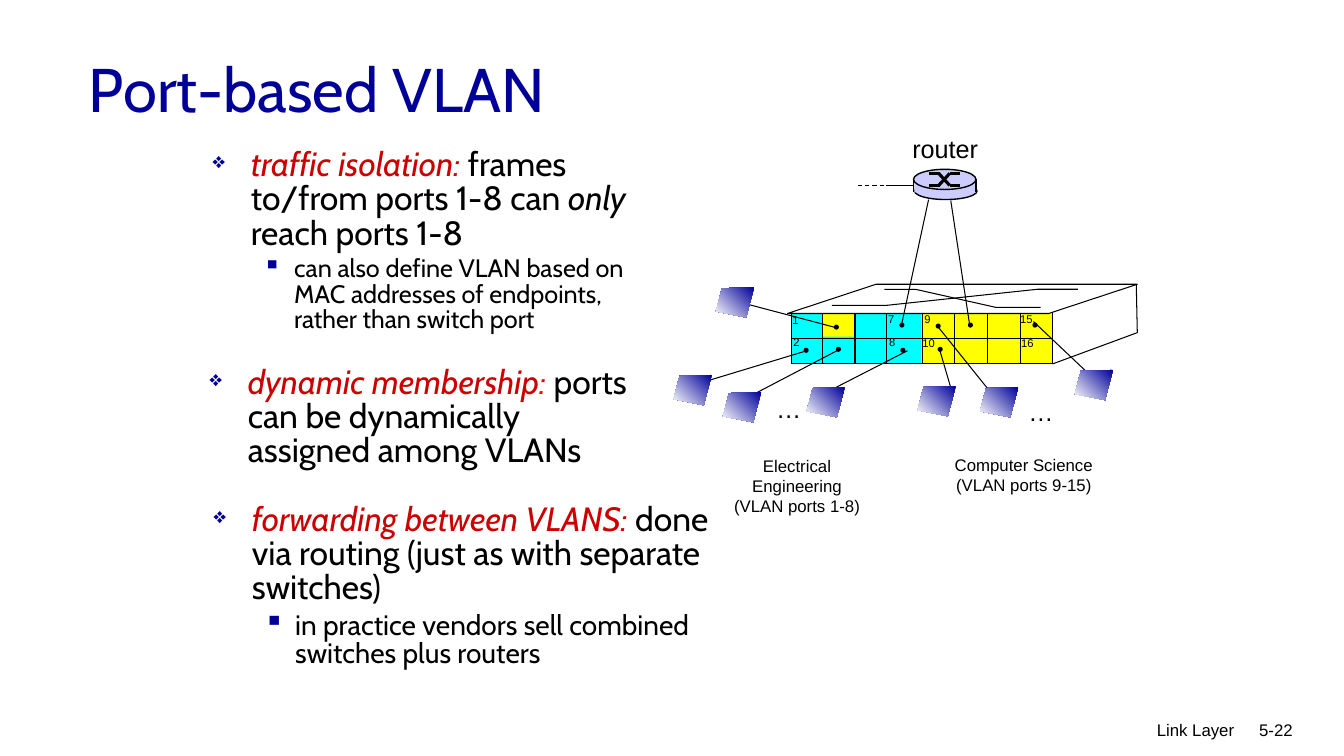
"""Build the slide on port-based VLANs with its switch diagram."""
from dataclasses import dataclass
from typing import NamedTuple

from lxml import etree
from pptx import Presentation
from pptx.dml.color import RGBColor
from pptx.enum.dml import MSO_LINE
from pptx.enum.shapes import MSO_CONNECTOR, MSO_SHAPE
from pptx.enum.text import MSO_ANCHOR, MSO_AUTO_SIZE, PP_ALIGN
from pptx.oxml.ns import qn
from pptx.util import Pt

PX = 9144
STRAIGHT = MSO_CONNECTOR.STRAIGHT
DASH = MSO_LINE.DASH
RECT, ELLIPSE, SLANTED = MSO_SHAPE.RECTANGLE, MSO_SHAPE.OVAL, MSO_SHAPE.PARALLELOGRAM
LEFT, CENTER, RIGHT = PP_ALIGN.LEFT, PP_ALIGN.CENTER, PP_ALIGN.RIGHT
NAVY, RED, BRIGHT_RED, BLACK, WHITE = "000099", "CC0000", "FF0000", "000000", "FFFFFF"
CYAN, YELLOW, LILAC = "00FFFF", "FFFF00", "CCCCFF"


class Box(NamedTuple):
    """A place on the slide in px."""
    left: int
    top: int
    width: int
    height: int


class Segment(NamedTuple):
    """A straight line from one point to another in px."""
    x1: int
    y1: int
    x2: int
    y2: int


class Phrase(NamedTuple):
    """A run of text with its own colour and slant."""
    words: str
    color: str = BLACK
    italic: bool = False


@dataclass
class Label:
    """A short Arial text."""
    text: str
    box: Box
    size: int
    align: PP_ALIGN = LEFT


@dataclass
class Bullet:
    """One bulleted paragraph."""
    phrases: list[Phrase]
    size: int = 24
    sub: bool = False


@dataclass
class Solid:
    """A preset shape with optional fill and outline."""
    preset: MSO_SHAPE
    box: Box
    fill: str | None = None
    outline: float = 0


def rgb(color: str) -> RGBColor:
    """Turn a hex string into a colour."""
    return RGBColor.from_string(color)


def emu(lengths: tuple) -> list[int]:
    """Scale px to EMU."""
    return [length * PX for length in lengths]


def style_outline(line, width: float) -> None:
    """Give a line its black colour and width, or hide it."""
    if width:
        line.color.rgb = rgb(BLACK)
        line.width = Pt(width)
    else:
        line.fill.background()


def draw_solid(shapes, solid: Solid):
    """Draw a preset shape."""
    shape = shapes.add_shape(solid.preset, *emu(solid.box))
    shape.shadow.inherit = False
    if solid.fill:
        shape.fill.solid()
        shape.fill.fore_color.rgb = rgb(solid.fill)
    else:
        shape.fill.background()
    style_outline(shape.line, solid.outline)
    return shape


def draw_segment(shapes, segment: Segment, width: float = 0.75):
    """Draw a straight line."""
    connector = shapes.add_connector(STRAIGHT, *emu(segment))
    etree.SubElement(connector._element.spPr, qn("a:effectLst"))
    style_outline(connector.line, width)
    return connector


def draw_outline(shapes, points: list, width: float = 0.75, close: bool = False):
    """Draw a freeform through the points."""
    builder = shapes.build_freeform(*points[0], scale=PX)
    builder.add_line_segments(points[1:], close=close)
    shape = builder.convert_to_shape()
    shape.shadow.inherit = False
    shape.fill.background()
    style_outline(shape.line, width)
    return shape


def draw_screen(shapes, left: int, top: int) -> None:
    """Draw one host screen with its gradient."""
    corners = [(38, 0), (6, 1), (0, 24), (30, 30)]
    screen = draw_outline(shapes, [(left + x, top + y) for x, y in corners], 0, True)
    screen.fill.gradient()
    screen.fill.gradient_angle = 225
    for stop, color in zip(screen.fill.gradient_stops, (NAVY, WHITE)):
        stop.color.rgb = rgb(color)


def draw_dot(shapes, left: int, top: int) -> None:
    """Draw the dot where a cable enters a port."""
    draw_solid(shapes, Solid(ELLIPSE, Box(left, top, 5, 5), BLACK))


def style_font(font, size: int, name: str, color: str) -> None:
    """Set size, face and colour of a font."""
    font.size, font.name = Pt(size), name
    font.color.rgb = rgb(color)


def draw_label(shapes, label: Label) -> None:
    """Write a label that does not wrap."""
    frame = shapes.add_textbox(*emu(label.box)).text_frame
    frame.word_wrap = False
    frame.text = label.text
    for paragraph in frame.paragraphs:
        paragraph.alignment = label.align
        for run in paragraph.runs:
            style_font(run.font, label.size, "Arial", BLACK)


def draw_bullets(shapes, box: Box, bullets: list[Bullet]) -> None:
    """Write a box of bulleted paragraphs."""
    frame = shapes.add_textbox(*emu(box)).text_frame
    frame.word_wrap = True
    for index, bullet in enumerate(bullets):
        paragraph = frame.add_paragraph() if index else frame.paragraphs[0]
        margin, hang, mark = (81, 31, "▪") if bullet.sub else (38, 38, "❖")
        properties = paragraph._p.get_or_add_pPr()
        properties.set("marL", str(margin * PX))
        properties.set("indent", str(-hang * PX))
        color = etree.SubElement(properties, qn("a:buClr"))
        etree.SubElement(color, qn("a:srgbClr"), val=NAVY)
        if not bullet.sub:
            etree.SubElement(properties, qn("a:buSzPct"), val="65000")
        etree.SubElement(properties, qn("a:buChar"), char=mark)
        paragraph.line_spacing = 0.85
        if index:
            paragraph.space_before = Pt(bullet.size * 0.2)
        for phrase in bullet.phrases:
            run = paragraph.add_run()
            run.text = phrase.words
            style_font(run.font, bullet.size, "Cabin", phrase.color)
            run.font.italic = phrase.italic


def draw_text(slide) -> None:
    """Write the title, the bullets and the footer."""
    title = slide.shapes.title
    title.left, title.top, title.width, title.height = emu(Box(78, 25, 1133, 125))
    title.text_frame.text = "Port-based VLAN"
    title.text_frame.auto_size = MSO_AUTO_SIZE.NONE
    title.text_frame.vertical_anchor = MSO_ANCHOR.MIDDLE
    heading = title.text_frame.paragraphs[0]
    heading.alignment = LEFT
    style_font(heading.runs[0].font, 44, "Cabin", NAVY)
    draw_bullets(slide.shapes, Box(201, 143, 465, 193), [
        Bullet([Phrase("traffic isolation: ", RED, True),
                Phrase("frames to/from ports 1-8 can "),
                Phrase("only", italic=True), Phrase(" reach ports 1-8")]),
        Bullet([Phrase("can also define VLAN based on MAC addresses of endpoints, "
                       "rather than switch port")], 18, True)])
    draw_bullets(slide.shapes, Box(198, 359, 444, 176), [
        Bullet([Phrase("dynamic membership", RED, True), Phrase(":", BRIGHT_RED, True),
                Phrase(" ports can be dynamically assigned among VLANs")])])
    draw_bullets(slide.shapes, Box(202, 495, 547, 176), [
        Bullet([Phrase("forwarding between VLANS: ", RED, True),
                Phrase("done via routing (just as with separate switches)")]),
        Bullet([Phrase("in practice vendors sell combined switches plus routers")], 20, True)])
    for label in (Label("Link Layer", Box(812, 709, 422, 50), 12, RIGHT),
                  Label("5-22", Box(1193, 709, 99, 50), 12, RIGHT)):
        draw_label(slide.shapes, label)


def draw_switch(shapes) -> None:
    """Draw the switch with its numbered ports."""
    for box, color in ((Box(785, 311, 129, 50), CYAN), (Box(914, 311, 130, 50), YELLOW),
                       (Box(816, 311, 31, 23), YELLOW)):
        draw_solid(shapes, Solid(RECT, box, color))
    port_frame = draw_solid(shapes, Solid(RECT, Box(785, 310, 259, 51), outline=0.75))
    for segment, start, end in ((Segment(785, 334, 1044, 334), 1, 3),
                                (Segment(914, 310, 914, 361), 0, 2)):
        divider = draw_segment(shapes, segment)
        divider.begin_connect(port_frame, start)
        divider.end_connect(port_frame, end)
    for x in (816, 848, 879, 947, 979, 1012):
        draw_segment(shapes, Segment(x, 310, x, 361))
    top_face = draw_solid(shapes, Solid(SLANTED, Box(781, 282, 347, 29), WHITE, 0.75))
    top_face.adjustments[0] = 3.03
    for points in ([(1044, 361), (1128, 330), (1127, 282)],
                   [(825, 303), (879, 303), (1029, 287), (1069, 287)],
                   [(877, 287), (908, 287), (988, 305), (1032, 305)]):
        draw_outline(shapes, points)
    for number, left, top in (("1", 776, 306), ("2", 777, 328), ("7", 871, 305),
                              ("8", 872, 328), ("9", 907, 305), ("10", 905, 329),
                              ("15", 1002, 305), ("16", 1003, 329)):
        width = 19 + 7 * len(number)
        draw_label(shapes, Label(number, Box(left, top, width, 23), 8))


def draw_hosts(shapes) -> None:
    """Draw the hosts, their cables and the names of the two VLANs."""
    for cable in (Segment(800, 348, 701, 378), Segment(832, 347, 744, 393),
                  Segment(900, 348, 822, 388), Segment(932, 347, 944, 388),
                  Segment(931, 325, 984, 391), Segment(1025, 319, 1081, 372),
                  Segment(829, 325, 742, 302)):
        draw_segment(shapes, cable)
    for left, top in ((797, 345), (829, 344), (893, 345), (930, 344), (928, 321),
                      (1024, 320), (827, 322)):
        draw_dot(shapes, left, top)
    for left, top in ((668, 372), (717, 389), (800, 384), (910, 383), (972, 384),
                      (1066, 367), (710, 285)):
        draw_screen(shapes, left, top)
    for label in (Label("…", Box(760, 385, 45, 40), 18), Label("…", Box(1010, 388, 45, 40), 18),
                  Label("Electrical\vEngineering\n(VLAN ports 1-8)",
                        Box(700, 447, 181, 50), 12, CENTER),
                  Label("Computer Science\n(VLAN ports 9-15)",
                        Box(937, 446, 157, 50), 12, CENTER)):
        draw_label(shapes, label)


def draw_router(shapes) -> None:
    """Draw the router with its links."""
    draw_label(shapes, Label("router", Box(895, 127, 86, 40), 18))
    for solid in (Solid(ELLIPSE, Box(907, 181, 62, 17), LILAC, 1),
                  Solid(RECT, Box(907, 180, 61, 11), LILAC),
                  Solid(ELLIPSE, Box(906, 168, 62, 20), LILAC, 1)):
        draw_solid(shapes, solid)
    for x in (906, 968):
        draw_segment(shapes, Segment(x, 178, x, 190), 1)
    for start, end in ((172, 184), (184, 172)):
        for stroke in (Segment(921, start, 932, start), Segment(931, start, 942, end),
                       Segment(942, end, 952, end)):
            draw_segment(shapes, stroke, 2.25)
    for link in (Segment(894, 323, 921, 198), Segment(962, 324, 943, 199),
                 Segment(879, 184, 906, 184)):
        draw_segment(shapes, link)
    draw_segment(shapes, Segment(851, 184, 878, 184)).line.dash_style = DASH
    for left in (892, 960):
        draw_dot(shapes, left, 320)


def main() -> None:
    """Build and save the slide."""
    deck = Presentation()
    deck.slide_width, deck.slide_height = emu((1333, 750))
    slide = deck.slides.add_slide(deck.slide_layouts[5])
    draw_text(slide)
    draw_switch(slide.shapes)
    draw_hosts(slide.shapes)
    draw_router(slide.shapes)
    deck.save("out.pptx")


if __name__ == "__main__":
    main()
